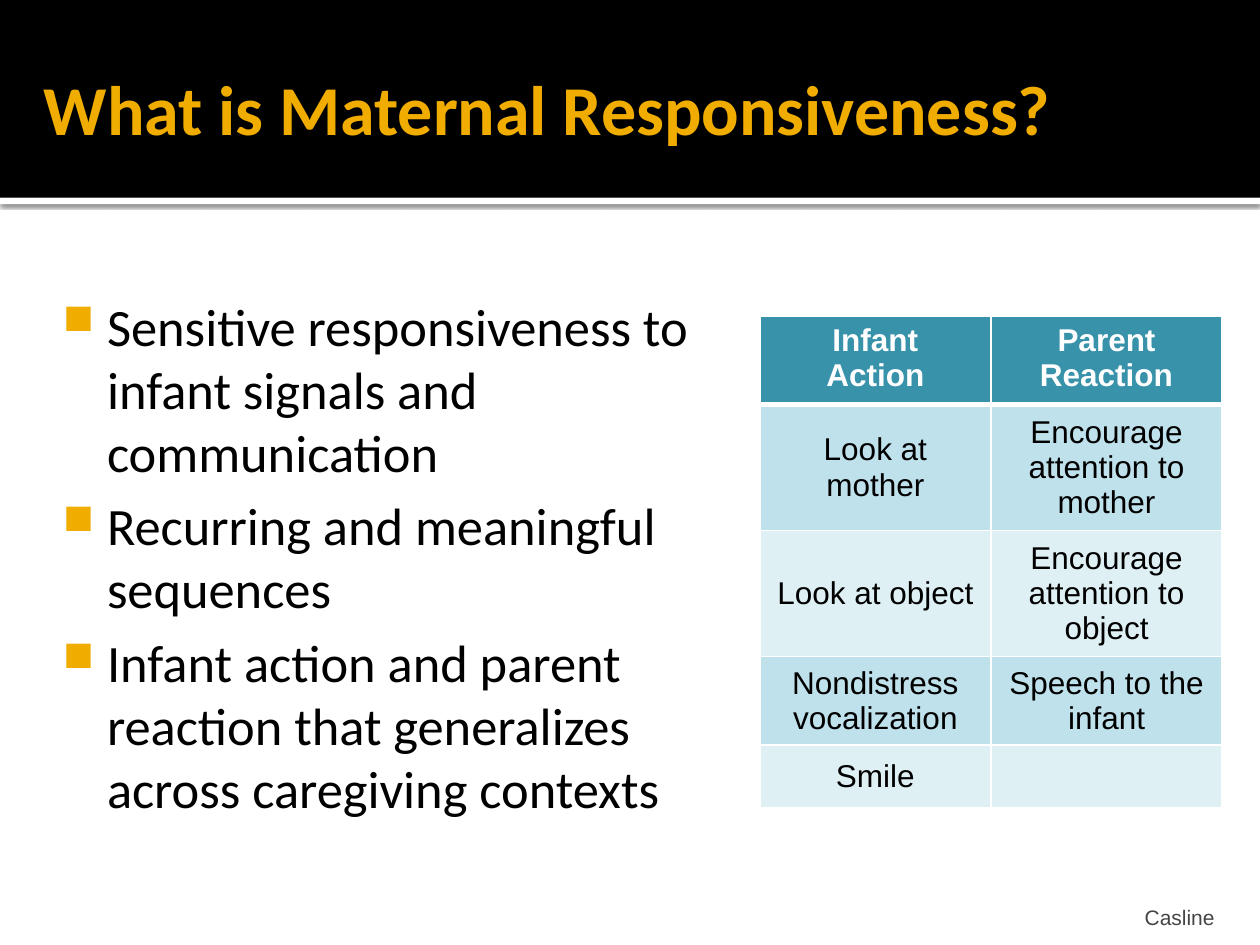
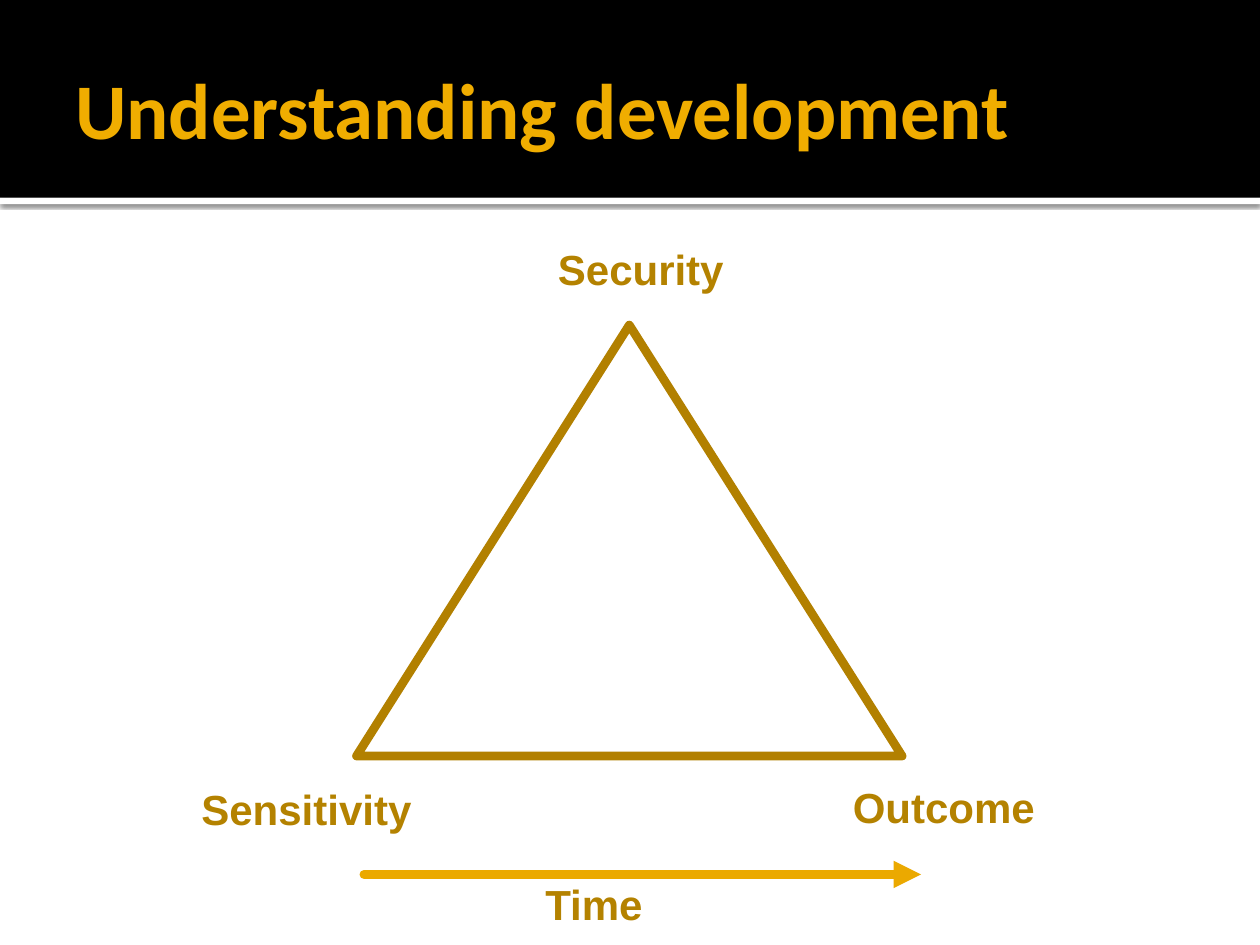
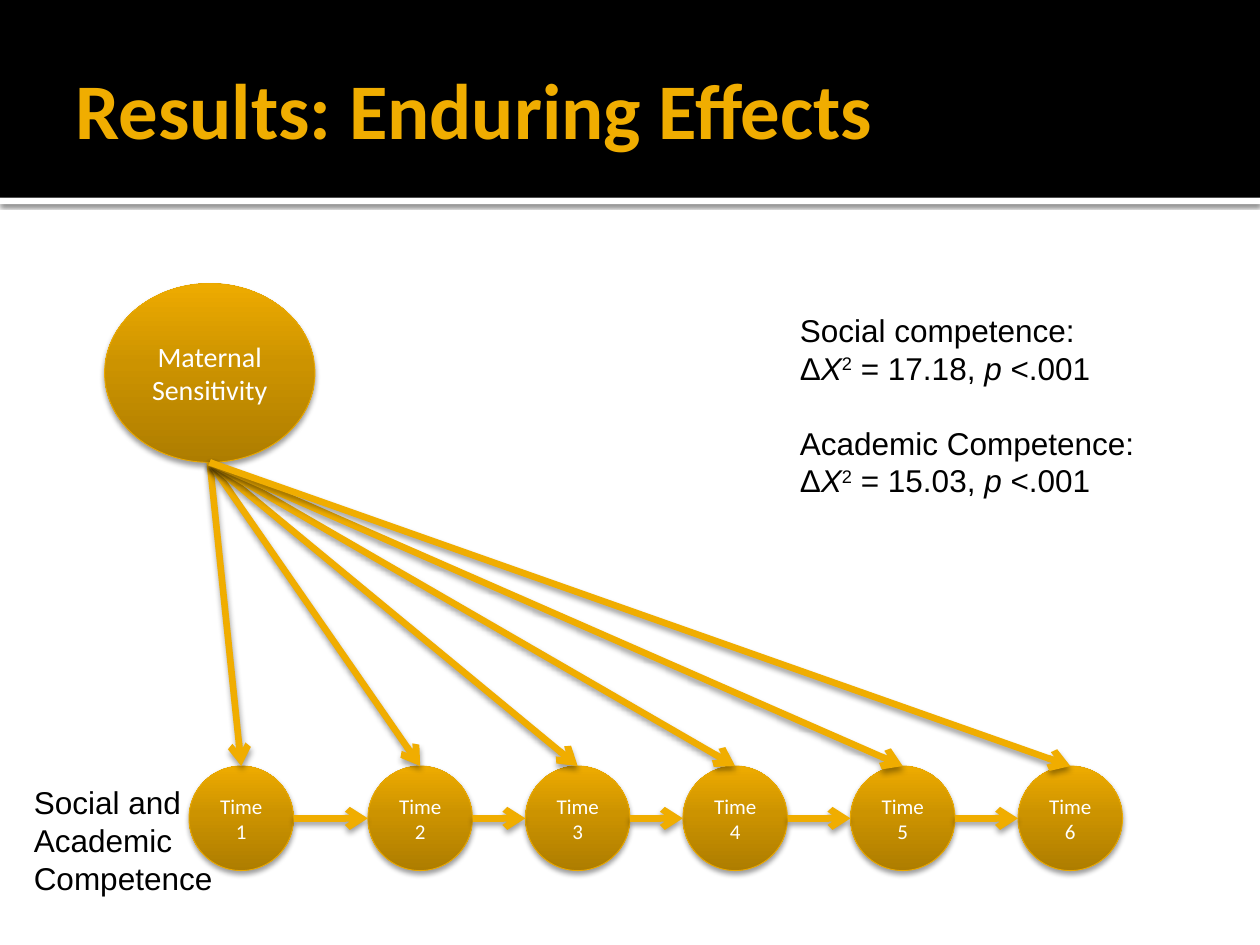
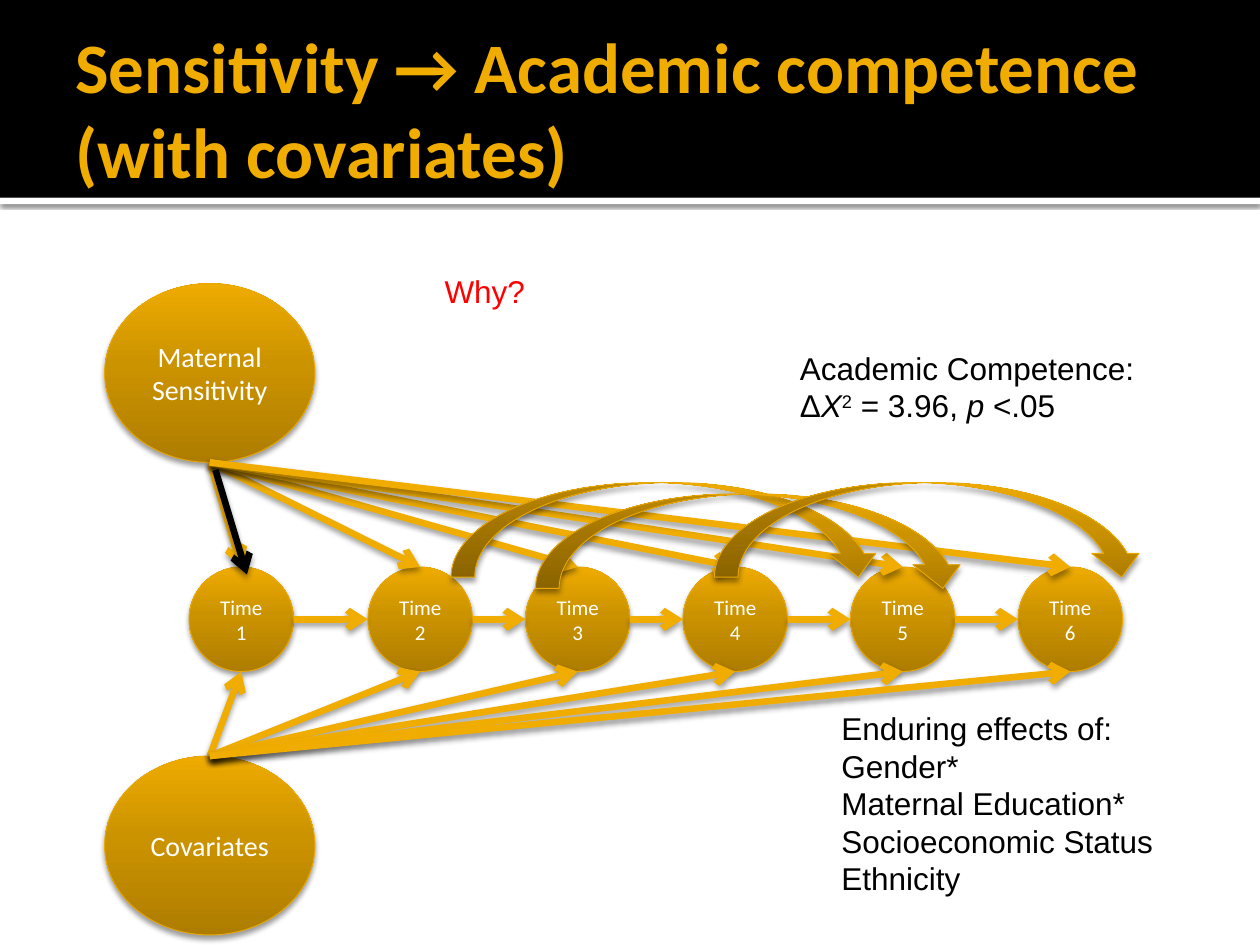
from itertools import pairwise

from pptx import Presentation
from pptx.dml.color import RGBColor
from pptx.enum.shapes import MSO_CONNECTOR as CONN, MSO_SHAPE as SHAPE
from pptx.enum.text import MSO_ANCHOR as ANCHOR, PP_ALIGN as ALIGN
from pptx.oxml import parse_xml
from pptx.oxml.ns import nsdecls, qn
from pptx.util import Inches, Pt

BLACK = RGBColor(0x00, 0x00, 0x00)
WHITE = RGBColor(0xFF, 0xFF, 0xFF)
RED = RGBColor(0xFF, 0x00, 0x00)
GRAY = RGBColor(0x45, 0x45, 0x45)
AMBER = RGBColor(0xF0, 0xAD, 0x00)
AMBER_EDGE = RGBColor(0xEB, 0xA9, 0x00)
BRONZE = RGBColor(0xB2, 0x80, 0x00)
BRONZE_TEXT = RGBColor(0xB4, 0x82, 0x00)
TEAL = RGBColor(0x37, 0x92, 0xAA)
TEAL_MID = RGBColor(0xBF, 0xE1, 0xEB)
TEAL_PALE = RGBColor(0xDF, 0xF0, 0xF5)
GRADIENT = [(0, RGBColor(0xAE, 0x7D, 0x00)), (55, RGBColor(0xCC, 0x93, 0x00)),
            (100, RGBColor(0xEE, 0xAB, 0x00))]

BODY_FONT = "Arial"
HEAD_FONT = "Calibri"
LINE_PITCH = Pt(21.5)

MOTHER = (0.83, 2.25)
COVARIATES = (0.83, 6)
BIG_W, BIG_H = 1.67, 1.42
TIME_D = 0.83
TIME_LEFTS = [1.5, 2.92, 4.17, 5.42, 6.75, 8.08]


def element(xml):
    head, sep, tail = xml.partition(">")
    at = len(head) - 1 if head.endswith("/") else len(head)
    return parse_xml(f"{head[:at]} {nsdecls('a')}{head[at:]}{sep}{tail}")


def set_shadow(shape, alpha, blur, dist):
    sp_pr = shape._element.spPr
    effects = sp_pr.find(qn("a:effectLst"))
    if effects is None:
        effects = element("<a:effectLst/>")
        sp_pr.append(effects)
    effects.append(element(
        f'<a:outerShdw blurRad="{Pt(blur)}" dist="{Pt(dist)}" dir="5400000" rotWithShape="0">'
        f'<a:srgbClr val="{BLACK}"><a:alpha val="{alpha * 1000}"/></a:srgbClr></a:outerShdw>'))


def style_runs(p, size, color, font, bold=False):
    for r in p.runs:
        r.font.size = Pt(size)
        r.font.name = font
        r.font.bold = bold
        r.font.color.rgb = color


def add_text(s, box, lines, size, color=BLACK, font=BODY_FONT, bold=False, wrap=True,
             align=ALIGN.LEFT, anchor=ANCHOR.TOP, insets=(0.1, 0.05, 0.1, 0.05), pitch=None):
    tf = s.shapes.add_textbox(*map(Inches, box)).text_frame
    tf.word_wrap = wrap
    tf.vertical_anchor = anchor
    tf.margin_left, tf.margin_top, tf.margin_right, tf.margin_bottom = map(Inches, insets)
    for i, line in enumerate(lines):
        p = tf.add_paragraph() if i else tf.paragraphs[0]
        p.text = line
        p.alignment = align
        if pitch:
            p.line_spacing = pitch
        style_runs(p, size, color, font, bold)
    return tf


def add_rect(s, box, color):
    sp = s.shapes.add_shape(SHAPE.RECTANGLE, *map(Inches, box))
    sp.shadow.inherit = False
    sp.fill.solid()
    sp.fill.fore_color.rgb = color
    sp.line.fill.background()
    return sp


def new_slide(prs, title, size=45, left=0.5, width=9):
    s = prs.slides.add_slide(prs.slide_layouts[6])
    set_shadow(add_rect(s, (0, 1.57, 10, 0.05), WHITE), 60, 2.5, 0.8)
    add_rect(s, (0, 0, 10, 1.57), BLACK)
    add_text(s, (left, 0.17, width, 1.37), [title], size, AMBER, HEAD_FONT, True,
             anchor=ANCHOR.MIDDLE, insets=(0.1, 0.05, 0.05, 0.05))
    return s


def add_glossy(s, kind, box):
    sp = s.shapes.add_shape(kind, *map(Inches, box))
    sp.shadow.inherit = False
    sp.fill.gradient()
    sp.fill.gradient_angle = 90
    stops = sp._element.spPr.find(".//" + qn("a:gsLst"))
    for stop in list(stops):
        stops.remove(stop)
    for pos, color in GRADIENT:
        stops.append(element(f'<a:gs pos="{pos * 1000}"><a:srgbClr val="{color}"/></a:gs>'))
    sp.line.color.rgb = AMBER_EDGE
    sp.line.width = Pt(0.5)
    set_shadow(sp, 38, 3.1, 2)
    return sp


def add_node(s, box, label, size):
    tf = add_glossy(s, SHAPE.OVAL, box).text_frame
    tf.word_wrap = True
    tf.vertical_anchor = ANCHOR.MIDDLE
    p = tf.paragraphs[0]
    p.text = label
    p.alignment = ALIGN.CENTER
    style_runs(p, size, WHITE, HEAD_FONT)


def add_arrow(s, start, end, color=AMBER, width=3.78, head="arrow", shadow=True):
    cx = s.shapes.add_connector(CONN.STRAIGHT, *map(Inches, (*start, *end)))
    cx.line.color.rgb = color
    cx.line.width = Pt(width)
    cx.line._ln.append(element(f'<a:tailEnd type="{head}"/>'))
    cx._element.spPr.append(element("<a:effectLst/>"))
    if shadow:
        set_shadow(cx, 38, 3.5, 2)
    return cx


def add_fan(s, start, end_y):
    for left in TIME_LEFTS:
        add_arrow(s, start, (left + TIME_D / 2, end_y))


def add_timeline(s, top):
    for i, left in enumerate(TIME_LEFTS, 1):
        add_node(s, (left, top, TIME_D, TIME_D), f"Time {i}", 12)
    for left, following in pairwise(TIME_LEFTS):
        y = top + TIME_D / 2
        add_arrow(s, (left + TIME_D, y), (following, y))


def add_sensitivity_model(s, top):
    x, y = MOTHER
    add_node(s, (x, y, BIG_W, BIG_H), "Maternal Sensitivity", 16)
    add_timeline(s, top)
    add_fan(s, (x + BIG_W / 2, y + BIG_H), top)


def add_statistics(s, box, results):
    headings = [heading for heading, _, _ in results]
    tf = add_text(s, box, [t for h in headings for t in (h, "")], 18, pitch=LINE_PITCH)
    for i, (_, value, level) in enumerate(results):
        if i:
            tf.paragraphs[2 * i].space_before = LINE_PITCH
        p = tf.paragraphs[2 * i + 1]
        for text in ("Δ", "Χ", "2", f" = {value}, ", "p", f" <{level}"):
            r = p.add_run()
            r.text = text
            r.font.italic = text in ("Χ", "p")
            if text == "2":
                r.font._element.set("baseline", "30000")
        style_runs(p, 18, BLACK, BODY_FONT)


def add_bullets(s, box, lines):
    tf = add_text(s, box, lines, 30, font=HEAD_FONT, insets=(0.06, 0.1, 0.1, 0.05))
    for i, p in enumerate(tf.paragraphs):
        p_pr = p._p.get_or_add_pPr()
        p_pr.set("marL", str(Inches(0.48)))
        p_pr.set("indent", str(Inches(-0.35)))
        if i:
            p.space_before = Pt(6)
        for xml in (f'<a:buClr><a:srgbClr val="{AMBER}"/></a:buClr>',
                    '<a:buSzPct val="80000"/>', '<a:buChar char="■"/>'):
            p_pr.append(element(xml))


def set_borders(cell, bottom):
    tc_pr = cell._tc.get_or_add_tcPr()
    for side, width in (("L", 1), ("R", 1), ("T", 1), ("B", bottom)):
        tc_pr.append(element(f'<a:ln{side} w="{Pt(width)}"><a:solidFill>'
                             f'<a:srgbClr val="{WHITE}"/></a:solidFill></a:ln{side}>'))


def add_action_table(s, box, rows, heights):
    table = s.shapes.add_table(len(rows), len(rows[0]), *map(Inches, box)).table
    for r, (texts, height) in enumerate(zip(rows, heights)):
        table.rows[r].height = Inches(height)
        header = r == 0
        for c, text in enumerate(texts):
            cell = table.cell(r, c)
            set_borders(cell, 3 if header else 1)
            cell.fill.solid()
            cell.fill.fore_color.rgb = TEAL if header else TEAL_MID if r % 2 else TEAL_PALE
            cell.vertical_anchor = ANCHOR.TOP if header else ANCHOR.MIDDLE
            cell.text_frame.text = text
            for p in cell.text_frame.paragraphs:
                p.alignment = ALIGN.CENTER
                style_runs(p, 18, WHITE if header else BLACK, BODY_FONT, header)


def responsiveness_slide(prs):
    s = new_slide(prs, "What is Maternal Responsiveness?", 40, 0.25, 9.25)
    add_bullets(s, (0.31, 2.23, 5.36, 5.06), [
        "Sensitive responsiveness to infant signals and communication",
        "Recurring and meaningful sequences",
        "Infant action and parent reaction that generalizes across caregiving contexts"])
    add_text(s, (3.67, 7.08, 6.02, 0.3), ["Casline"], 12, GRAY, align=ALIGN.RIGHT,
             anchor=ANCHOR.BOTTOM, insets=(0.05, 0.05, 0.05, 0))
    add_action_table(s, (6.03, 2.51, 3.67, 3.65), [
        ("Infant\nAction", "Parent\nReaction"),
        ("Look at mother", "Encourage attention to mother"),
        ("Look at object", "Encourage attention to object"),
        ("Nondistress vocalization", "Speech to the infant"),
        ("Smile", "")], [0.5, 0.98, 0.98, 0.69, 0.5])


def development_slide(prs):
    s = new_slide(prs, "Understanding development")
    triangle = s.shapes.add_shape(SHAPE.ISOSCELES_TRIANGLE,
                                  *map(Inches, (2.83, 2.58, 4.33, 3.42)))
    triangle.shadow.inherit = False
    triangle.fill.background()
    triangle.line.color.rgb = BRONZE
    triangle.line.width = Pt(5)
    triangle.line._ln.append(element("<a:round/>"))
    time = add_arrow(s, (2.89, 6.94), (7.31, 6.94), AMBER_EDGE, 5.25, "triangle", False)
    time.line._ln.set("cap", "rnd")
    for label, x, y, w in (("Security", 4.33, 1.88, 1.53), ("Sensitivity", 1.5, 6.17, 1.88),
                           ("Outcome", 6.67, 6.15, 1.66), ("Time", 4.23, 6.92, 0.98)):
        add_text(s, (x, y, w, 0.5), [label], 24, BRONZE_TEXT, bold=True, wrap=False)


def enduring_effects_slide(prs):
    s = new_slide(prs, "Results: Enduring Effects")
    add_sensitivity_model(s, 6.08)
    add_text(s, (0.17, 6.17, 2, 1.01), ["Social and Academic Competence"], 18, pitch=LINE_PITCH)
    add_statistics(s, (6.25, 2.42, 3.08, 1.92), [
        ("Social competence:", "17.18", ".001"), ("Academic Competence:", "15.03", ".001")])


def covariates_slide(prs):
    s = new_slide(prs, "Sensitivity → Academic competence\n(with covariates)", 40.5, width=9.42)
    top = 4.5
    add_sensitivity_model(s, top)
    x, y = COVARIATES
    add_node(s, (x, y, BIG_W, BIG_H), "Covariates", 16)
    add_fan(s, (x + BIG_W / 2, y), top + TIME_D)
    add_statistics(s, (6.25, 2.72, 3.08, 1.01), [("Academic Competence:", "3.96", ".05")])
    add_text(s, (6.58, 5.58, 3, 1.92), [
        "Enduring effects of:", "Gender*", "Maternal Education*", "Socioeconomic Status",
        "Ethnicity"], 18, pitch=LINE_PITCH)
    for left, arc_top in ((3.58, 3.83), (4.25, 3.92), (5.67, 3.83)):
        add_glossy(s, SHAPE.CURVED_DOWN_ARROW, (left, arc_top, 3.42, 0.75))
    add_arrow(s, (1.71, 3.73), (1.96, 4.56), BLACK)
    add_text(s, (3.43, 2.11, 2, 0.4), ["Why?"], 18, RED, pitch=LINE_PITCH)


def main():
    prs = Presentation()
    prs.slide_width = Inches(10)
    prs.slide_height = Inches(7.5)
    for build in (responsiveness_slide, development_slide, enduring_effects_slide,
                  covariates_slide):
        build(prs)
    prs.save("out.pptx")


if __name__ == "__main__":
    main()
